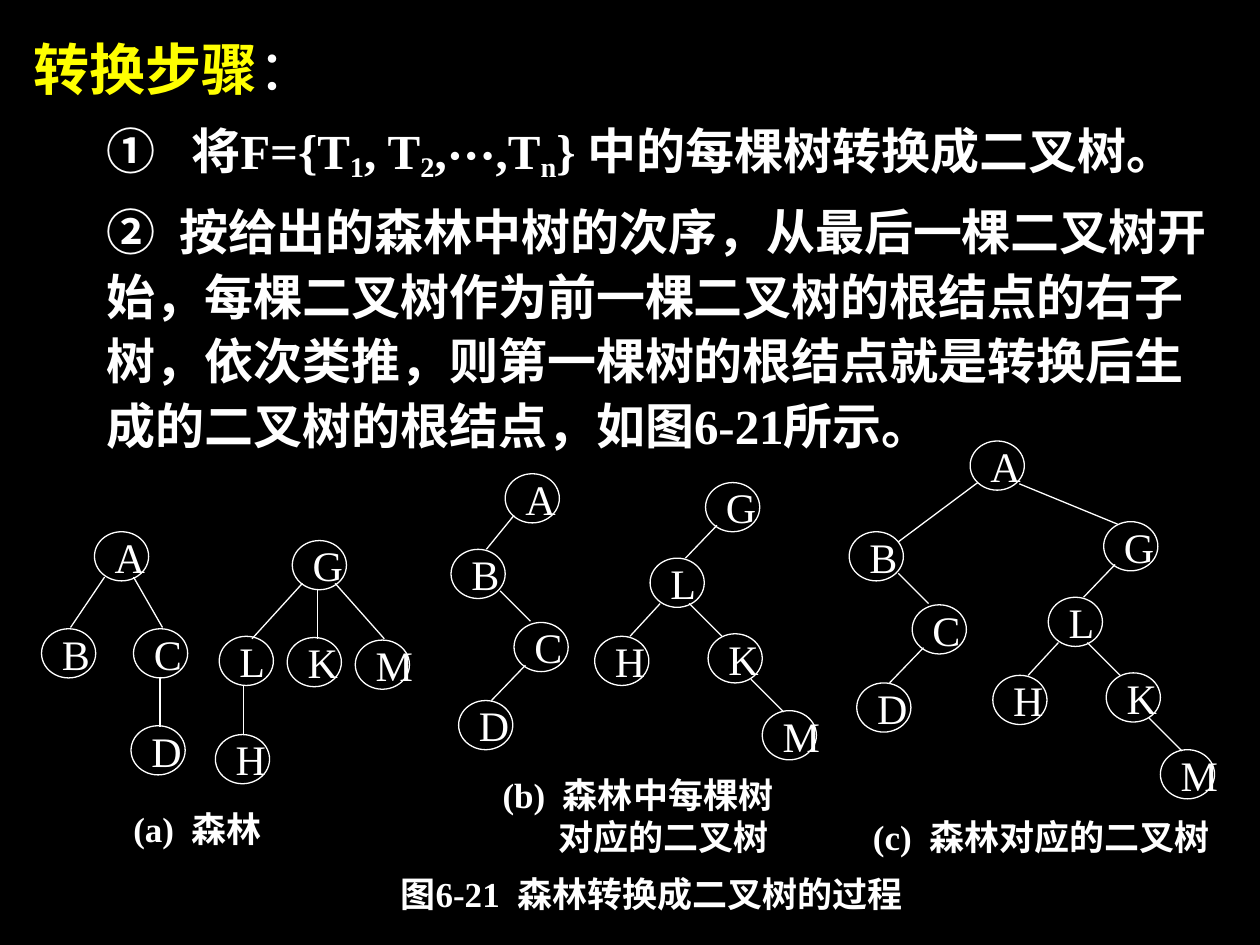
import dataclasses

import lxml.etree
import pptx
import pptx.dml.color
import pptx.enum.shapes
import pptx.enum.text
import pptx.oxml.ns
import pptx.util

Inches = pptx.util.Inches
Pt = pptx.util.Pt
qn = pptx.oxml.ns.qn


@dataclasses.dataclass(frozen=True)
class Theme:
    background: str = "000000"
    ink: str = "FFFFFF"
    accent: str = "FFFF00"
    latin: str = "Times New Roman"
    chinese: str = "Noto Sans CJK SC"
    title: int = 32
    body: int = 28
    node: int = 24
    caption: int = 20
    line: float = 0.75


@dataclasses.dataclass
class Tree:
    nodes: dict
    edges: list


class TreeSlide:
    NODE_WIDTH, NODE_HEIGHT = 0.43, 0.39
    CAPTION_SLACK = 0.15

    def __init__(self, presentation, theme):
        self.theme = theme
        self.slide = presentation.slides.add_slide(presentation.slide_layouts[6])
        fill = self.slide.background.fill
        fill.solid()
        fill.fore_color.rgb = self.color(theme.background)

    def color(self, value):
        return pptx.dml.color.RGBColor.from_string(value)

    def add_run(self, paragraph, text, size, color=None, baseline=0, spacing=0, **formats):
        run = paragraph.add_run()
        run.text = text
        values = {"name": self.theme.latin, "size": Pt(size), "bold": True} | formats
        for name, value in values.items():
            setattr(run.font, name, value)
        run.font.color.rgb = self.color(color or self.theme.ink)
        properties = run._r.get_or_add_rPr()
        lxml.etree.SubElement(properties, qn("a:ea"), typeface=self.theme.chinese)
        if baseline:
            properties.set("baseline", str(baseline * 1000))
        if spacing:
            properties.set("spc", str(spacing * 100))

    def set_frame(self, shape, **formats):
        for name, value in formats.items():
            setattr(shape.text_frame, name, value)
        return shape.text_frame

    def add_paragraph(self, frame, runs, indent=0, **formats):
        first = frame.paragraphs[0]
        paragraph = frame.add_paragraph() if first.runs else first
        for name, value in formats.items():
            setattr(paragraph, name, value)
        if indent:
            paragraph._p.get_or_add_pPr().set("marL", str(Inches(indent)))
        for text, values in runs:
            self.add_run(paragraph, text, **values)

    def add_text(self, box, paragraphs, **formats):
        shape = self.slide.shapes.add_textbox(*map(Inches, box))
        frame = self.set_frame(shape, **formats)
        for runs, values in paragraphs:
            self.add_paragraph(frame, runs, **values)

    def add_caption(self, box, label, text, second_line=None):
        left, top, width, height = box
        style = {"size": self.theme.caption}
        paragraphs = [
            ([(label, style), (" ", style | {"spacing": 5}), (text, style)], {})
        ]
        if second_line:
            paragraphs.append(([(second_line, style)], {"indent": 0.44}))
        self.add_text(
            (left, top, width + self.CAPTION_SLACK, height),
            paragraphs,
            word_wrap=False,
            margin_right=0,
            vertical_anchor=pptx.enum.text.MSO_ANCHOR.MIDDLE,
        )

    def add_node(self, label, left, top):
        box = (left, top, self.NODE_WIDTH, self.NODE_HEIGHT)
        shape = self.slide.shapes.add_shape(
            pptx.enum.shapes.MSO_SHAPE.OVAL, *map(Inches, box)
        )
        shape.shadow.inherit = False
        shape.fill.background()
        shape.line.color.rgb = self.color(self.theme.ink)
        shape.line.width = Pt(self.theme.line)
        frame = self.set_frame(
            shape, word_wrap=False, vertical_anchor=pptx.enum.text.MSO_ANCHOR.MIDDLE
        )
        run = (label, {"size": self.theme.node, "bold": False})
        self.add_paragraph(frame, [run], alignment=pptx.enum.text.PP_ALIGN.LEFT)

    def add_edge(self, *ends):
        connector = self.slide.shapes.add_connector(
            pptx.enum.shapes.MSO_CONNECTOR.STRAIGHT, *map(Inches, ends)
        )
        connector.line.color.rgb = self.color(self.theme.ink)
        connector.line.width = Pt(self.theme.line)
        lxml.etree.SubElement(connector._element.spPr, qn("a:effectLst"))

    def add_tree(self, tree, right=0, down=0):
        for label, (left, top) in tree.nodes.items():
            self.add_node(label, left + right, top + down)
        for x1, y1, x2, y2 in tree.edges:
            self.add_edge(x1 + right, y1 + down, x2 + right, y2 + down)


FOREST = [
    Tree(
        {"A": (0.75, 4.22), "B": (0.33, 4.99), "C": (1.06, 4.99), "D": (1.04, 5.76)},
        [(0.83, 4.58, 0.56, 4.98), (1.06, 4.58, 1.29, 4.98), (1.27, 5.37, 1.27, 5.77)],
    ),
    Tree(
        {"G": (2.32, 4.29), "L": (1.74, 5.05), "K": (2.28, 5.06),
         "M": (2.82, 5.08), "H": (1.71, 5.83)},
        [(2.4, 4.63, 2, 5.07), (2.52, 4.68, 2.52, 5.07),
         (2.66, 4.63, 3.05, 5.07), (1.93, 5.44, 1.93, 5.83)],
    ),
]
BINARY_B = Tree(
    {"B": (3.58, 4.36), "C": (4.08, 4.94), "D": (3.64, 5.56)},
    [(3.97, 4.69, 4.21, 4.93), (4.17, 5.28, 3.9, 5.56)],
)
BINARY_G = Tree(
    {"G": (5.6, 3.83), "L": (5.16, 4.43), "H": (4.72, 5.05),
     "K": (5.62, 5.03), "M": (6.05, 5.64)},
    [(5.69, 4.17, 5.44, 4.43), (5.24, 4.79, 5, 5.05),
     (5.47, 4.79, 5.73, 5.05), (5.96, 5.39, 6.22, 5.65)],
)
ROOT_SPLIT = Tree({"A": (4.01, 3.76)}, [(4.08, 4.09, 3.86, 4.36)])
ROOT_JOINED = Tree(
    {"A": (7.7, 3.5)}, [(7.76, 3.83, 7.13, 4.3), (8.09, 3.84, 8.87, 4.16)]
)


def add_steps(slide):
    theme = slide.theme
    body = {"size": theme.body}
    subscript = body | {"baseline": -18}
    chinese = body | {"name": theme.chinese}
    spacing = {"line_spacing": 1.1, "space_before": Pt(7)}
    step = spacing | {"level": 1, "indent": 0.58}
    title = [
        ("转换步骤", {"size": theme.title, "color": theme.accent}),
        ("：", {"size": theme.title, "bold": False}),
    ]
    first = [
        ("①", body), (" ", body | {"spacing": 14}), ("将F={T", body),
        ("1", subscript), (", T", body), ("2", subscript), (",⋯,T", body),
        ("n", subscript), ("} 中的每棵树转换成二叉树", body), ("。", chinese),
    ]
    second = [
        ("②", body), (" ", body | {"spacing": 7}),
        ("按给出的森林中树的次序，从最后一棵二叉树开始，"
         "每棵二叉树作为前一棵二叉树的根结点的右子树，依次类推，"
         "则第一棵树的根结点就是转换后生成的二叉树的根结点，", body),
        ("如图", chinese), ("6-21所示", body), ("。", chinese),
    ]
    slide.add_text(
        (0.17, 0.17, 9.67, 3.43),
        [(title, spacing), (first, step), (second, step)],
        word_wrap=True,
    )


def main():
    presentation = pptx.Presentation()
    presentation.slide_width = Inches(10)
    presentation.slide_height = Inches(7.5)
    slide = TreeSlide(presentation, Theme())
    add_steps(slide)
    for tree in FOREST + [ROOT_SPLIT, BINARY_B, BINARY_G, ROOT_JOINED]:
        slide.add_tree(tree)
    slide.add_tree(BINARY_B, right=3.16, down=-0.14)
    slide.add_tree(BINARY_G, right=3.16, down=0.31)
    slide.add_caption((0.96, 6.38, 1.18, 0.39), "(a)", "森林")
    slide.add_caption((3.89, 6.12, 2.36, 0.71), "(b)", "森林中每棵树", "对应的二叉树")
    slide.add_caption((6.83, 6.44, 2.76, 0.39), "(c)", "森林对应的二叉树")
    slide.add_caption((3.08, 6.9, 4.2, 0.39), "图6-21", "森林转换成二叉树的过程")
    presentation.save("out.pptx")


if __name__ == "__main__":
    main()
